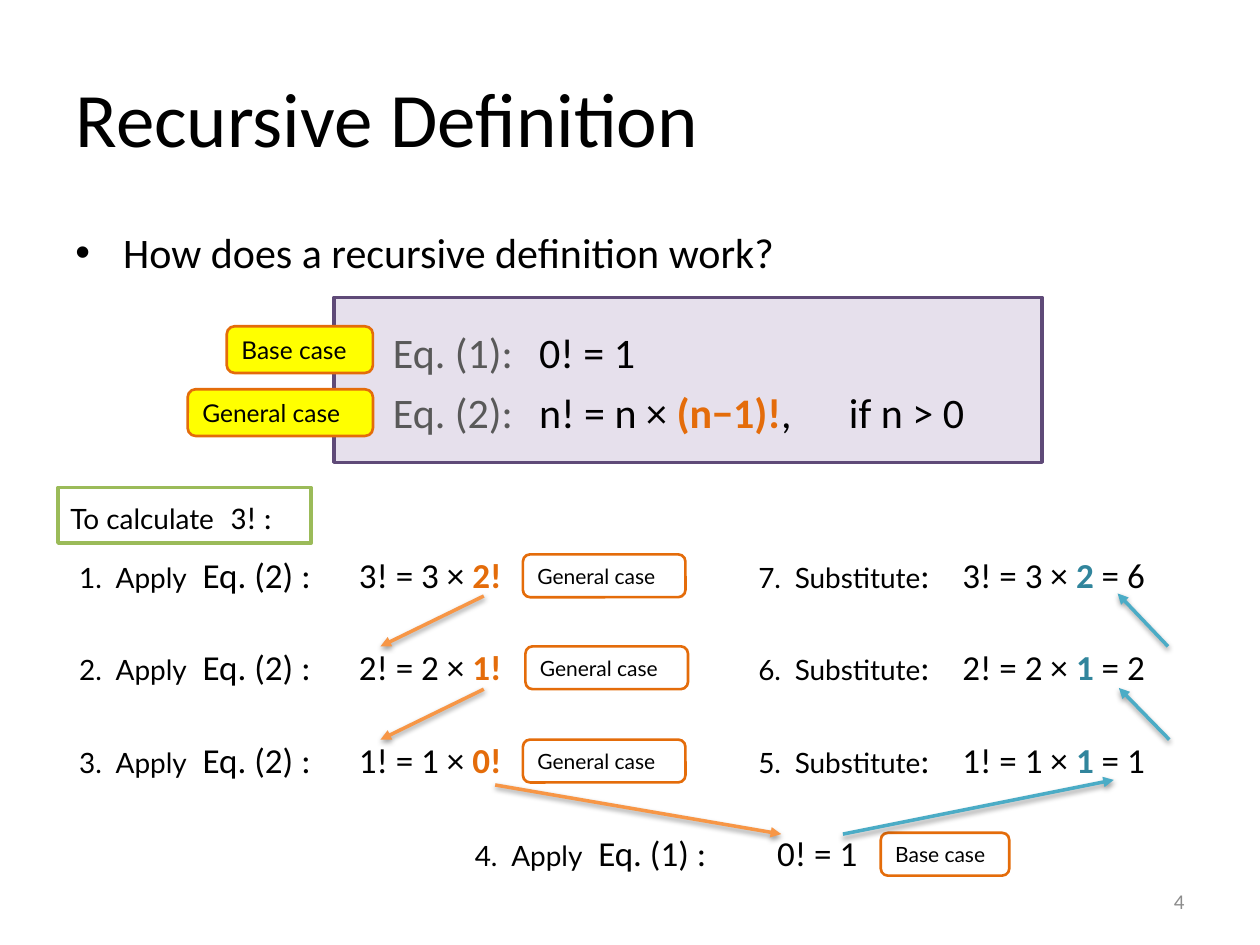
import pptx
import pptx.util
import pptx.dml.color
import pptx.enum.shapes
import pptx.enum.text
import pptx.oxml
import pptx.oxml.ns

Inches = pptx.util.Inches
Pt = pptx.util.Pt
RGBColor = pptx.dml.color.RGBColor
SHAPE = pptx.enum.shapes.MSO_SHAPE
ALIGN = pptx.enum.text.PP_ALIGN
ANCHOR = pptx.enum.text.MSO_ANCHOR
NAMESPACE = pptx.oxml.ns.nsdecls("a")

BLACK = RGBColor(0x00, 0x00, 0x00)
WHITE = RGBColor(0xFF, 0xFF, 0xFF)
GRAY = RGBColor(0x59, 0x59, 0x59)
NUMBER_GRAY = RGBColor(0x8C, 0x8C, 0x8C)
YELLOW = RGBColor(0xFF, 0xFF, 0x00)
LAVENDER = RGBColor(0xE6, 0xE0, 0xEC)
PURPLE = RGBColor(0x5F, 0x4A, 0x78)
GREEN = RGBColor(0x9B, 0xBB, 0x59)
ORANGE = RGBColor(0xE4, 0x6C, 0x0A)
TEAL = RGBColor(0x31, 0x85, 0x9C)
ARROW_ORANGE = RGBColor(0xF7, 0x96, 0x46)
ARROW_BLUE = RGBColor(0x4B, 0xAC, 0xC6)

deck = pptx.Presentation()
deck.slide_width = Inches(10)
deck.slide_height = Inches(7.5)
page = deck.slides.add_slide(deck.slide_layouts[5])


def add_span(para, text, size=20, font="Calibri", color=BLACK, bold=False):
    span = para.add_run()
    span.text = text
    span.font.size = Pt(size)
    span.font.name = font
    span.font.color.rgb = color
    span.font.bold = bold


def add_box(left, top, width, height, kind=None, fill=None, line=None, weight=1.5, tabs=()):
    """Add a text box, or a shape when kind is given, and return its first paragraph."""
    place = [Inches(value) for value in (left, top, width, height)]
    if kind is None:
        box = page.shapes.add_textbox(*place)
    else:
        box = page.shapes.add_shape(kind, *place)
        box.shadow.inherit = False
        box.line.color.rgb = line
        box.line.width = Pt(weight)
        if fill is None:
            box.fill.background()
        else:
            box.fill.solid()
            box.fill.fore_color.rgb = fill
        box.text_frame.vertical_anchor = ANCHOR.MIDDLE
    box.text_frame.word_wrap = bool(tabs) or kind is not None
    para = box.text_frame.paragraphs[0]
    para.alignment = ALIGN.LEFT
    if tabs:
        stops = "".join(f'<a:tab pos="{Inches(stop)}" algn="l"/>' for stop in tabs)
        para._p.get_or_add_pPr().append(
            pptx.oxml.parse_xml(f"<a:tabLst {NAMESPACE}>{stops}</a:tabLst>"))
    return para


# Title
title = page.shapes.title
title.left, title.top = Inches(0.5), Inches(0.3)
title.width, title.height = Inches(9), Inches(1.25)
title.text_frame.vertical_anchor = ANCHOR.MIDDLE
title_para = title.text_frame.paragraphs[0]
title_para.alignment = ALIGN.LEFT
add_span(title_para, "Recursive Definition", size=44)

# Question with its bullet
question = add_box(0.5, 1.75, 9, 0.5)
properties = question._p.get_or_add_pPr()
properties.set("marL", str(Inches(0.38)))
properties.set("indent", str(Inches(-0.38)))
properties.append(pptx.oxml.parse_xml(f'<a:buFont {NAMESPACE} typeface="Arial"/>'))
properties.append(pptx.oxml.parse_xml(f'<a:buChar {NAMESPACE} char="•"/>'))
add_span(question, "How does a recursive definition work?", size=24)

# Definition panel
add_box(2.65, 2.36, 5.62, 1.31, SHAPE.RECTANGLE, LAVENDER, PURPLE, 2)
equations = add_box(4.18, 2.46, 3.63, 1.07)
equations.line_spacing = 1.2
add_span(equations, "0! = 1", size=24)
general = equations._parent.add_paragraph()
general.line_spacing = 1.2
general._p.get_or_add_pPr().append(pptx.oxml.parse_xml(
    f'<a:tabLst {NAMESPACE}><a:tab pos="{Inches(2.46)}" algn="l"/></a:tabLst>'))
add_span(general, "n! = n × ", size=24)
add_span(general, "(n−1)!", size=24, color=ORANGE, bold=True)
add_span(general, ",\tif n > 0", size=24)

labels = add_box(3.02, 2.46, 1.16, 1.07)
labels.line_spacing = 1.2
add_span(labels, "Eq. (1):", size=24, color=GRAY)
second_label = labels._parent.add_paragraph()
second_label.line_spacing = 1.2
add_span(second_label, "Eq. (2):", size=24, color=GRAY)

# Case tags: text, left, top, width, height, size, fill
tags = [
    ("Base case", 1.8, 2.59, 1.16, 0.37, 14, YELLOW),
    ("General case", 1.49, 3.09, 1.47, 0.37, 14, YELLOW),
    ("General case", 4.15, 4.4, 1.29, 0.34, 12, None),
    ("General case", 4.17, 5.13, 1.29, 0.34, 12, None),
    ("General case", 4.15, 5.87, 1.29, 0.34, 12, None),
    ("Base case", 6.99, 6.61, 1.02, 0.34, 12, None),
]
for text, left, top, width, height, size, fill in tags:
    tag = add_box(left, top, width, height, SHAPE.ROUNDED_RECTANGLE, fill, ORANGE)
    add_span(tag, text, size=size, font="Lato")

# Task
task = add_box(0.46, 3.87, 2.01, 0.44, SHAPE.RECTANGLE, WHITE, GREEN, 2, tabs=[1.27])
add_span(task, "To calculate", size=16, font="Lato")
add_span(task, "\t")
add_span(task, "3! :", size=18)

# Expansion steps on the left, substitution steps on the right
STEP_TABS = [0.29, 0.98]
for row, (number, value, result) in enumerate([(3, 2, 6), (2, 1, 2), (1, 1, 1)]):
    top = 4.34 + 0.735 * row
    step = add_box(0.53, top, 2.26, 0.44, tabs=STEP_TABS)
    add_span(step, f"{row + 1}.\tApply", size=16, font="Lato")
    add_span(step, "\tEq. (2) :")

    expansion = add_box(2.75, top, 1.36, 0.44)
    add_span(expansion, f"{number}! = {number} × ")
    add_span(expansion, f"{number - 1}!", color=ORANGE, bold=True)

    substitution = add_box(5.92, top, 3.57, 0.44, tabs=[0.29, 1.62])
    add_span(substitution, f"{7 - row}.\tSubstitute", size=16, font="Lato")
    add_span(substitution, f":\t{number}! = {number} × ")
    add_span(substitution, str(value), color=TEAL, bold=True)
    add_span(substitution, f" = {result}")

# Base step
base_step = add_box(3.67, 6.55, 2.27, 0.44, tabs=STEP_TABS)
add_span(base_step, "4.\tApply", size=16, font="Lato")
add_span(base_step, "\tEq. (1) :")
add_span(add_box(6.07, 6.55, 0.84, 0.44), "0! = 1")

# Slide number
page_number = add_box(7.17, 6.95, 2.33, 0.4)
page_number._parent.word_wrap = True
page_number._parent.vertical_anchor = ANCHOR.MIDDLE
page_number.alignment = ALIGN.RIGHT
add_span(page_number, "4", size=12, color=NUMBER_GRAY)

# Arrows down through the expansions and back up through the results
arrows = [
    (3.84, 4.73, 3.02, 5.13, ARROW_ORANGE),
    (3.84, 5.47, 3.02, 5.87, ARROW_ORANGE),
    (3.93, 6.23, 6.2, 6.62, ARROW_ORANGE),
    (6.69, 6.62, 8.84, 6.19, ARROW_BLUE),
    (9.28, 5.87, 8.88, 5.46, ARROW_BLUE),
    (9.27, 5.13, 8.87, 4.71, ARROW_BLUE),
]
for *ends, color in arrows:
    arrow = page.shapes.add_connector(
        pptx.enum.shapes.MSO_CONNECTOR.STRAIGHT, *[Inches(value) for value in ends])
    arrow.line.color.rgb = color
    arrow.line.width = Pt(2)
    arrow.line._get_or_add_ln().append(
        pptx.oxml.parse_xml(f'<a:tailEnd {NAMESPACE} type="triangle"/>'))
    arrow._element.spPr.append(pptx.oxml.parse_xml(
        f'<a:effectLst {NAMESPACE}><a:outerShdw blurRad="{Pt(3.1)}" dist="{Pt(1.6)}" '
        'dir="5400000" rotWithShape="0"><a:srgbClr val="000000"><a:alpha val="38000"/>'
        '</a:srgbClr></a:outerShdw></a:effectLst>'))

deck.save("out.pptx")
